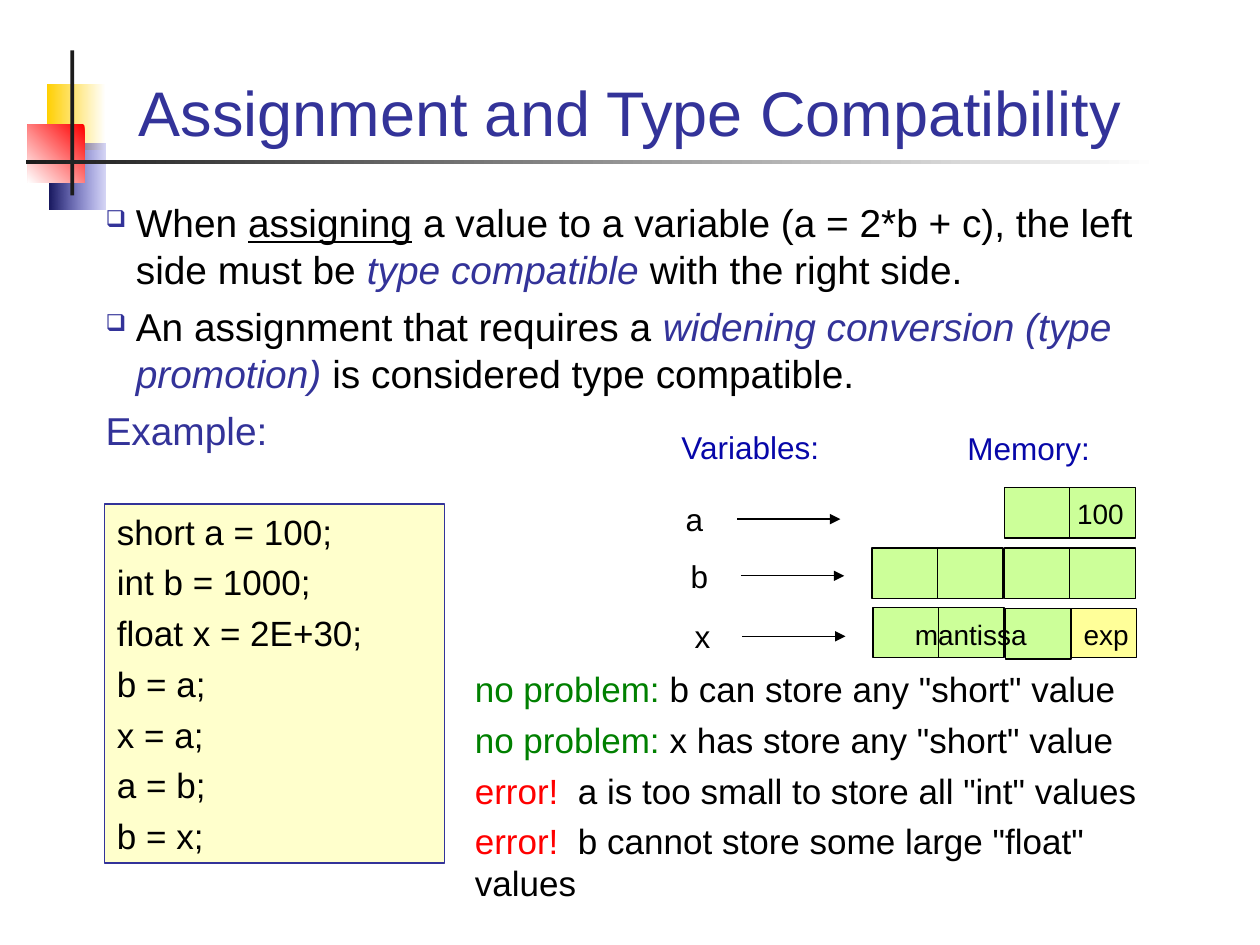
from dataclasses import dataclass

from lxml import etree
from pptx import Presentation
from pptx.dml.color import RGBColor
from pptx.enum import shapes, text
from pptx.oxml import ns
from pptx.util import Inches, Pt


@dataclass(frozen=True)
class Theme:
    font: str = "Arial"
    accent: str = "333399"
    label: str = "0707A9"
    ink: str = "000000"
    good: str = "008000"
    bad: str = "FF0000"
    code_fill: str = "FFFFCC"
    cell: str = "CCFF99"
    exponent: str = "FFFF99"
    bar: str = "1C1C1C"
    white: str = "FFFFFF"
    title_size: float = 36
    body_size: float = 22.2
    code_size: float = 20
    label_size: float = 18
    cell_size: float = 16


THEME = Theme()
CENTER = text.PP_ALIGN.CENTER
TERM = {"color": THEME.accent, "italic": True}


def rgb(value):
    return RGBColor.from_string(value)


def sub(parent, tag, **attributes):
    return etree.SubElement(parent, ns.qn(tag), attributes)


def write(shape, paragraphs, size, color=THEME.ink, align=None, space=0,
          wrap=True, grow=True, anchor=text.MSO_ANCHOR.TOP):
    """Fill a shape; a paragraph is a string or a list of (string, format)."""
    frame = shape.text_frame
    frame.word_wrap = wrap
    frame.auto_size = (text.MSO_AUTO_SIZE.SHAPE_TO_FIT_TEXT if grow
                       else text.MSO_AUTO_SIZE.NONE)
    frame.vertical_anchor = anchor
    for index, content in enumerate(paragraphs):
        paragraph = frame.add_paragraph() if index else frame.paragraphs[0]
        paragraph.alignment = align or text.PP_ALIGN.LEFT
        paragraph.space_before = Pt(space if index else 0)
        runs = [(content, {})] if isinstance(content, str) else content
        for words, style in runs:
            run = paragraph.add_run()
            run.text = words
            run.font.name = THEME.font
            run.font.size = Pt(size)
            run.font.color.rgb = rgb(style.get("color", color))
            run.font.italic = style.get("italic")
            run.font.underline = style.get("underline")
    return frame


def textbox(slide, box, paragraphs, size, **style):
    shape = slide.shapes.add_textbox(*map(Inches, box))
    return write(shape, paragraphs, size, **style)


def rectangle(slide, box, fill=None, line=None):
    shape = slide.shapes.add_shape(shapes.MSO_SHAPE.RECTANGLE, *map(Inches, box))
    shape.shadow.inherit = False
    if fill:
        shape.fill.solid()
        shape.fill.fore_color.rgb = rgb(fill)
    if line:
        shape.line.color.rgb = rgb(line)
        shape.line.width = Pt(0.75)
    else:
        shape.line.fill.background()
    return shape


def gradient_rectangle(slide, box, start, end, angle=180, start_alpha=None):
    shape = rectangle(slide, box)
    shape.fill.gradient()
    shape.fill.gradient_angle = angle
    for stop, color in zip(shape.fill.gradient_stops, (start, end)):
        stop.color.rgb = rgb(color)
    if start_alpha:
        first = next(shape.element.spPr.iter(ns.qn("a:srgbClr")))
        sub(first, "a:alpha", val=str(start_alpha * 1000))


def line(slide, start=(0, 0), end=(0, 0), arrow=False):
    connector = slide.shapes.add_connector(
        shapes.MSO_CONNECTOR.STRAIGHT, *map(Inches, (*start, *end)))
    connector.line.color.rgb = rgb(THEME.ink)
    connector.line.width = Pt(0.75)
    if arrow:
        sub(connector.line._get_or_add_ln(), "a:tailEnd", type="triangle")
    sub(connector.element.spPr, "a:effectLst")
    return connector


def byte_pair(slide, left, top):
    """Two memory bytes: one cell split down the middle."""
    cell = rectangle(slide, (left, top, 1.04, 0.4), THEME.cell, THEME.ink)
    divider = line(slide)
    divider.begin_connect(cell, 0)
    divider.end_connect(cell, 2)


def indent(paragraph, bullet=None):
    properties = paragraph._p.get_or_add_pPr()
    properties.set("marL", str(Inches(0.24)))
    properties.set("indent", str(Inches(-0.24)))
    if bullet:
        sub(sub(properties, "a:buClr"), "a:srgbClr", val=THEME.accent)
        sub(properties, "a:buSzPct", val="60000")
        sub(properties, "a:buChar", char=bullet)
    else:
        sub(properties, "a:buNone")


def draw_ornament(slide):
    gradient_rectangle(slide, (0.37, 0.67, 0.47, 0.52), THEME.white, "FFCF01")
    gradient_rectangle(slide, (0.39, 1.14, 0.45, 0.52), "3333CC", "17175E",
                       start_alpha=20)
    gradient_rectangle(slide, (0.22, 0.99, 0.45, 0.46), "FF0000", THEME.white,
                       angle=225)
    rectangle(slide, (0.56, 0.4, 0.03, 1.15), THEME.bar)
    gradient_rectangle(slide, (0.21, 1.27, 8.99, 0.03), THEME.white, THEME.bar)


def draw_title(slide):
    title = slide.shapes.title
    title.left, title.top, title.width, title.height = map(
        Inches, (0.67, 0.28, 8.66, 0.95))
    write(title, ["Assignment and Type Compatibility"], THEME.title_size,
          color=THEME.accent, align=CENTER, grow=False,
          anchor=text.MSO_ANCHOR.BOTTOM)


def draw_rules(slide):
    frame = textbox(slide, (0.74, 1.53, 8.66, 2.22), [
        [("When ", {}), ("assigning", {"underline": True}),
         (" a value to a variable (a = 2*b + c), the left side must be ", {}),
         ("type compatible", TERM), (" with the right side.", {})],
        [("An assignment that requires a ", {}),
         ("widening conversion (type promotion)", TERM),
         (" is considered type compatible.", {})],
        [("Example:", {"color": THEME.accent})],
    ], THEME.body_size, space=6, grow=False)
    for paragraph, bullet in zip(frame.paragraphs, ("❑", "❑", None)):
        indent(paragraph, bullet)


def draw_code(slide):
    code = rectangle(slide, (0.83, 4, 2.7, 2.85), THEME.code_fill, THEME.accent)
    write(code, ["short a = 100;", "int b = 1000;", "float x = 2E+30;",
                 "b = a;", "x = a;", "a = b;", "b = x;"],
          THEME.code_size, space=5)
    verdicts = [
        ("no problem:", THEME.good, " b can store any \"short\" value"),
        ("no problem:", THEME.good, " x has store any \"short\" value"),
        ("error!", THEME.bad, "  a is too small to store all \"int\" values"),
        ("error!", THEME.bad, "  b cannot store some large \"float\" values"),
    ]
    textbox(slide, (3.67, 5.25, 5.7, 1.98),
            [[(verdict, {"color": color}), (reason, {})]
             for verdict, color, reason in verdicts],
            THEME.code_size, space=5)


def draw_memory(slide):
    for heading, box in (("Variables:", (5.31, 3.35, 1.48, 0.4)),
                         ("Memory:", (7.58, 3.36, 1.27, 0.4))):
        textbox(slide, box, [heading], THEME.label_size, color=THEME.label)
    # Variable names, each with an arrow to its memory
    for name, left, top, width, tail in (("a ", 5.34, 3.92, 0.41, 5.85),
                                         ("b ", 5.38, 4.37, 0.41, 5.88),
                                         ("x ", 5.38, 4.85, 0.39, 5.89)):
        textbox(slide, (left, top, width, 0.4), [name], THEME.label_size,
                align=CENTER, wrap=False)
        line(slide, (tail, top + 0.2), (tail + 0.82, top + 0.2), arrow=True)
    # Bytes of a, b and x
    for left, top in ((7.97, 3.87), (7.97, 4.35), (6.92, 4.35), (6.93, 4.82)):
        byte_pair(slide, left, top)
    rectangle(slide, (7.98, 4.83, 0.52, 0.4), THEME.cell, THEME.ink)
    rectangle(slide, (8.5, 4.83, 0.52, 0.39), THEME.exponent, THEME.ink)
    # Contents of the bytes
    textbox(slide, (8.45, 3.89, 0.57, 0.37), ["100"], THEME.cell_size, wrap=False)
    textbox(slide, (8.5, 4.85, 0.56, 0.37), ["exp"], THEME.cell_size, align=CENTER)
    textbox(slide, (7.03, 4.85, 1.35, 0.37), ["mantissa"], THEME.cell_size,
            align=CENTER)


def main():
    deck = Presentation()
    deck.slide_width, deck.slide_height = Inches(10), Inches(7.5)
    slide = deck.slides.add_slide(deck.slide_layouts.get_by_name("Title Only"))
    draw_ornament(slide)
    draw_title(slide)
    draw_rules(slide)
    draw_code(slide)
    draw_memory(slide)
    deck.save("out.pptx")


if __name__ == "__main__":
    main()
